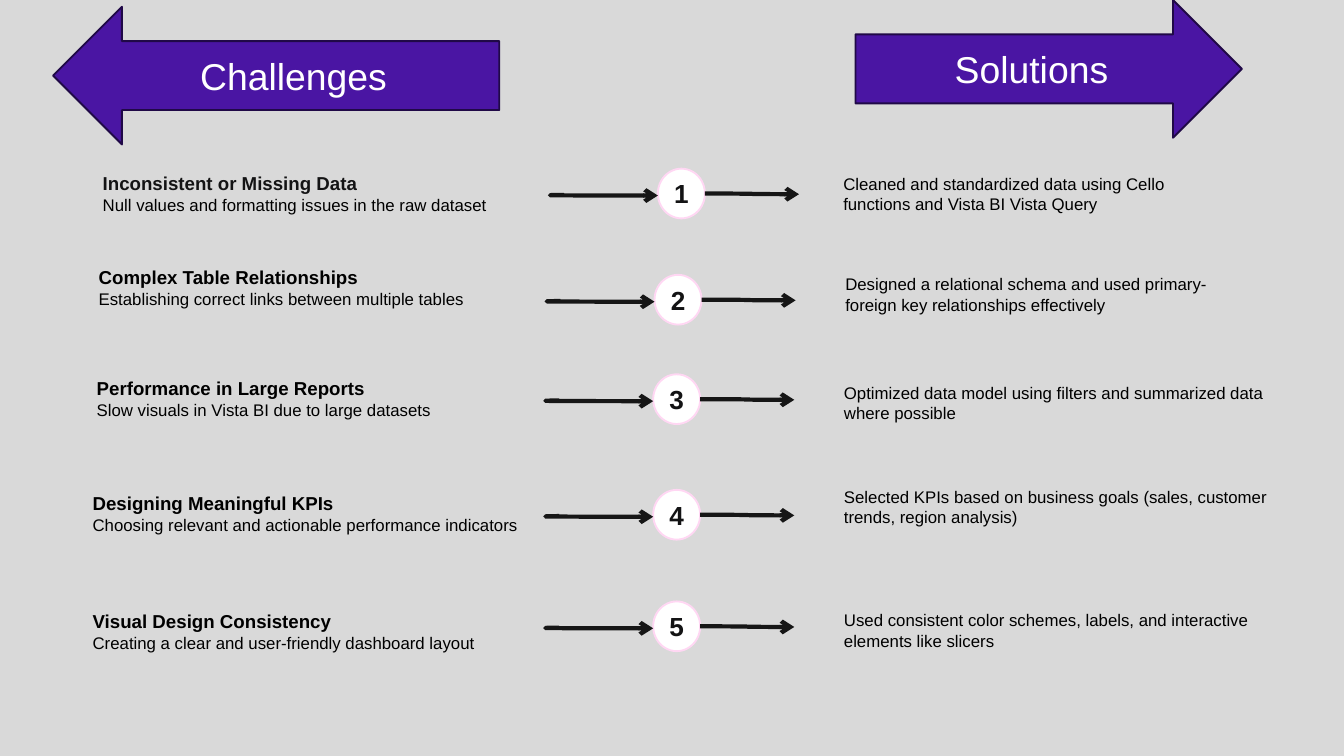
from lxml import etree
from pptx import Presentation
from pptx.dml.color import RGBColor
from pptx.enum.shapes import MSO_CONNECTOR, MSO_SHAPE
from pptx.enum.text import MSO_ANCHOR, MSO_AUTO_SIZE, PP_ALIGN
from pptx.oxml.ns import qn
from pptx.util import Inches, Pt

GREY = RGBColor(0xD9, 0xD9, 0xD9)
PURPLE = RGBColor(0x4A, 0x15, 0xA3)
DARK_PURPLE = RGBColor(0x20, 0x09, 0x47)
PINK = RGBColor(0xFF, 0xD7, 0xF3)
WHITE = RGBColor(0xFF, 0xFF, 0xFF)
BLACK = RGBColor(0, 0, 0)
INK = RGBColor(0x13, 0x13, 0x14)
ARROW = RGBColor(0x16, 0x16, 0x16)

FONT = "Arial"
BADGE_W, BADGE_H = 0.7, 0.74
ARROW_LEN = 1.4

ROWS = [
    ((9.79, 2.51), (1.43, 2.51, 6.57), (12.45, 2.53, 6.02), INK,
     "Inconsistent or Missing Data",
     "Null values and formatting issues in the raw dataset",
     "Cleaned and standardized data using Cello functions and Vista BI Vista Query"),
    ((9.74, 4.09), (1.37, 3.91, 6.04), (12.48, 4.03, 5.65), BLACK,
     "Complex Table Relationships",
     "Establishing correct links between multiple tables",
     "Designed a relational schema and used primary-foreign key relationships effectively"),
    ((9.72, 5.57), (1.34, 5.56, 6.98), (12.46, 5.64, 7.01), BLACK,
     "Performance in Large Reports",
     "Slow visuals in Vista BI due to large datasets",
     "Optimized data model using filters and summarized data where possible"),
    ((9.72, 7.29), (1.28, 7.27, 6.74), (12.46, 7.19, 6.79), BLACK,
     "Designing Meaningful KPIs",
     "Choosing relevant and actionable performance indicators",
     "Selected KPIs based on business goals (sales, customer trends, region analysis)"),
    ((9.72, 8.95), (1.28, 9.03, 6.89), (12.46, 9.03, 6.88), BLACK,
     "Visual Design Consistency",
     "Creating a clear and user-friendly dashboard layout",
     "Used consistent color schemes, labels, and interactive elements like slicers"),
]


def style_run(p, size, color, bold=False):
    font = p.runs[0].font
    font.name, font.size, font.bold = FONT, Pt(size), bold
    font.color.rgb = color


def add_label_shape(shapes, kind, box, text, size, fill, line, color, bold=False):
    s = shapes.add_shape(kind, *map(Inches, box))
    s.shadow.inherit = False
    s.fill.solid()
    s.fill.fore_color.rgb = fill
    s.line.color.rgb = line
    s.line.width = Pt(2)
    tf = s.text_frame
    tf.text = text
    tf.vertical_anchor = MSO_ANCHOR.MIDDLE
    tf.paragraphs[0].alignment = PP_ALIGN.CENTER
    style_run(tf.paragraphs[0], size, color, bold)


def add_text(slide, box, paragraphs):
    tf = slide.shapes.add_textbox(*map(Inches, box)).text_frame
    tf.word_wrap = True
    tf.auto_size = MSO_AUTO_SIZE.SHAPE_TO_FIT_TEXT
    tf.text = "\n".join(text for text, *_ in paragraphs)
    for p, (_, size, color, bold) in zip(tf.paragraphs, paragraphs):
        style_run(p, size, color, bold)


def add_arrow(shapes, x, y, bend=None):
    c = shapes.add_connector(MSO_CONNECTOR.CURVE, Inches(x), Inches(y),
                             Inches(x + ARROW_LEN), Inches(y + 0.01))
    c.line.color.rgb = ARROW
    c.line.width = Pt(4.5)
    etree.SubElement(c.line._get_or_add_ln(), qn("a:tailEnd"), type="arrow")
    sp_pr = c._element.spPr
    etree.SubElement(sp_pr, qn("a:effectLst"))
    if bend is not None:
        guides = sp_pr.find(qn("a:prstGeom")).get_or_add_avLst()
        etree.SubElement(guides, qn("a:gd"), name="adj1", fmla=f"val {bend}")


def add_number(slide, x, y, number):
    shapes = slide.shapes.add_group_shape().shapes
    add_label_shape(shapes, MSO_SHAPE.FLOWCHART_CONNECTOR, (x, y, BADGE_W, BADGE_H),
                    str(number), 28, WHITE, PINK, INK, True)
    middle = y + BADGE_H / 2
    add_arrow(shapes, x + BADGE_W, middle)
    add_arrow(shapes, x - ARROW_LEN, middle + 0.02, bend=-14600)


def add_row(slide, number, row):
    badge, left, right, title_color, title, challenge, solution = row
    add_text(slide, (*left, 0.74), [(title, 20, title_color, True),
                                    (challenge, 18, BLACK, False)])
    add_text(slide, (*right, 0.71), [(solution, 18, BLACK, False)])
    add_number(slide, *badge, number)


def add_headers(slide):
    for kind, box, text in (
        (MSO_SHAPE.LEFT_ARROW, (0.79, 0.1, 6.64, 2.05), "Challenges"),
        (MSO_SHAPE.RIGHT_ARROW, (12.73, 0, 5.75, 2.05), "Solutions"),
    ):
        add_label_shape(slide.shapes, kind, box, text, 40, PURPLE, DARK_PURPLE, WHITE)


def main():
    prs = Presentation()
    prs.slide_width, prs.slide_height = Inches(20), Inches(11.25)
    slide = prs.slides.add_slide(prs.slide_layouts[6])
    slide.background.fill.solid()
    slide.background.fill.fore_color.rgb = GREY
    add_headers(slide)
    for number, row in enumerate(ROWS, 1):
        add_row(slide, number, row)
    prs.save("out.pptx")


if __name__ == "__main__":
    main()
